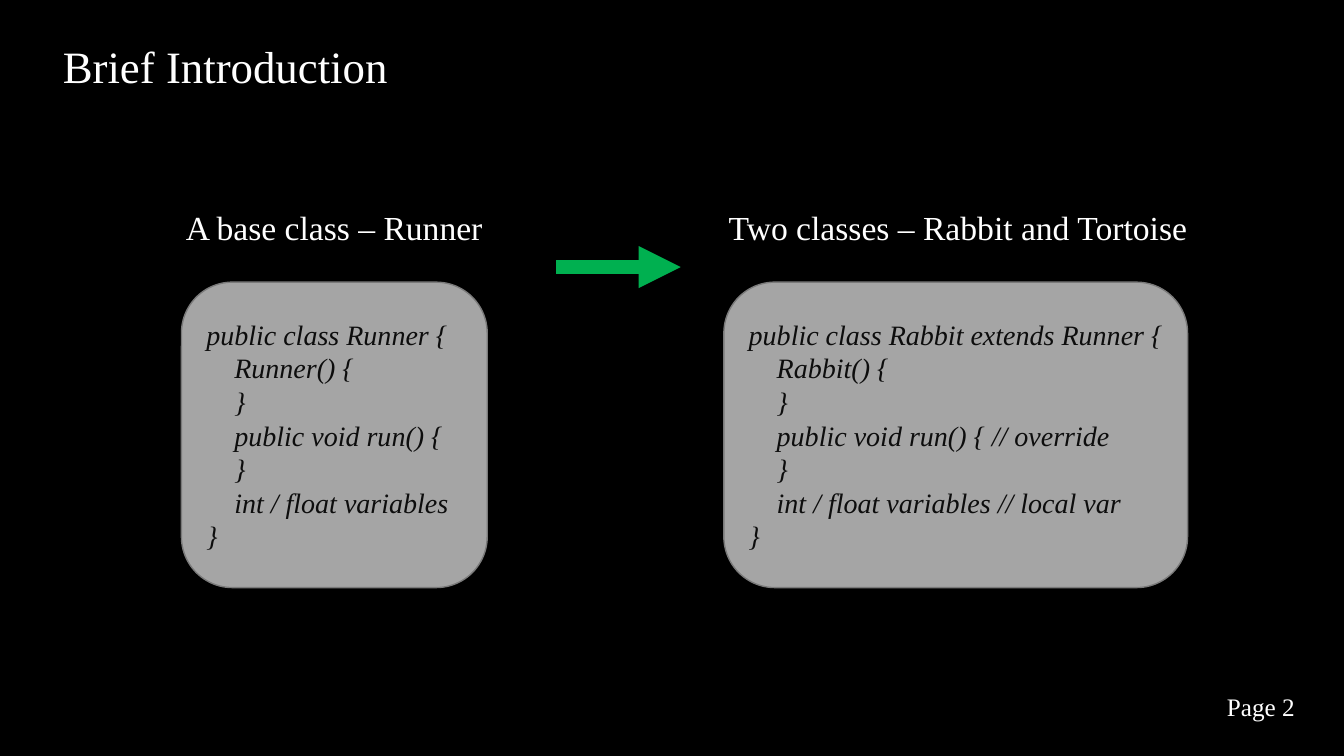
from dataclasses import dataclass

from lxml import etree
from pptx import Presentation
from pptx import util as u
from pptx.dml.color import RGBColor
from pptx.enum import shapes, text
from pptx.oxml.ns import qn


@dataclass(frozen=True)
class Theme:
    font: str = "Times New Roman"
    background: str = "000000"
    light: str = "FFFFFF"
    code: str = "0D0D0D"
    panel: str = "A5A5A5"
    outline: str = "7A7A7A"
    arrow: str = "00B050"
    title_size: int = 32
    heading_size: int = 24
    code_size: int = 20
    page_size: int = 18
    code_indent: int = 20


class SlideBuilder:
    """Places elements on a grid of 100 columns by 100 rows."""

    def __init__(self, deck, theme):
        self.deck, self.theme = deck, theme
        self.slide = deck.slides.add_slide(deck.slide_layouts[5])
        self.paint(self.slide.background.fill, theme.background)

    def paint(self, fill, color):
        fill.solid()
        fill.fore_color.rgb = RGBColor.from_string(color)

    def col(self, columns):
        return int(self.deck.slide_width * columns / 100)

    def row(self, rows):
        return int(self.deck.slide_height * rows / 100)

    def area(self, left, top, width, height):
        return self.col(left), self.row(top), self.col(width), self.row(height)

    def add_words(self, paragraph, words, size, color, align, italic=False):
        paragraph.alignment = align
        run = paragraph.add_run()
        run.text = words
        font = run.font
        font.name, font.size, font.italic = self.theme.font, u.Pt(size), italic
        font.color.rgb = RGBColor.from_string(color)

    def title(self, words, *area):
        holder = self.slide.shapes.title
        holder.left, holder.top, holder.width, holder.height = self.area(*area)
        frame = holder.text_frame
        frame.auto_size = text.MSO_AUTO_SIZE.NONE
        frame.word_wrap = False
        self.add_words(frame.paragraphs[0], words, self.theme.title_size,
                       self.theme.light, text.PP_ALIGN.CENTER)

    def label(self, words, size, *area, align=text.PP_ALIGN.CENTER):
        frame = self.slide.shapes.add_textbox(*self.area(*area)).text_frame
        frame.word_wrap = True
        self.add_words(frame.paragraphs[0], words, size, self.theme.light, align)

    def code_panel(self, lines, *area):
        panel = self.slide.shapes.add_shape(
            shapes.MSO_SHAPE.ROUNDED_RECTANGLE, *self.area(*area))
        panel.shadow.inherit = False
        self.paint(panel.fill, self.theme.panel)
        self.paint(panel.line.fill, self.theme.outline)
        panel.line.width = u.Pt(1)
        frame = panel.text_frame
        frame.word_wrap = True
        frame.margin_right = u.Inches(0.05)
        frame.vertical_anchor = text.MSO_ANCHOR.MIDDLE
        for number, (level, words) in enumerate(lines):
            paragraph = frame.add_paragraph() if number else frame.paragraphs[0]
            self.add_words(paragraph, words, self.theme.code_size, self.theme.code,
                           text.PP_ALIGN.LEFT, italic=True)
            indent = u.Pt(level * self.theme.code_indent)
            paragraph._p.get_or_add_pPr().set("marL", str(int(indent)))

    def arrow(self, start, end, row):
        arrow = self.slide.shapes.add_connector(
            shapes.MSO_CONNECTOR.STRAIGHT,
            self.col(start), self.row(row), self.col(end), self.row(row))
        self.paint(arrow.line.fill, self.theme.arrow)
        arrow.line.width = u.Pt(10)
        etree.SubElement(arrow.line._get_or_add_ln(), qn("a:tailEnd"), type="triangle")
        etree.SubElement(arrow._element.spPr, qn("a:effectLst"))


def class_code(declaration, constructor, method, variables):
    return [(0, declaration), (1, constructor), (1, "}"),
            (1, method), (1, "}"), (1, variables), (0, "}")]


deck = Presentation()
deck.slide_width, deck.slide_height = u.Inches(13.33), u.Inches(7.5)
theme = Theme()
page = SlideBuilder(deck, theme)

# Title
page.title("Brief Introduction", 3.08, 4.4, 27.38, 8.53)

# Classes: heading, its left and width, panel left and width, code
classes = [
    ("A base class – Runner", 12.3, 25.13, 13.5, 22.75,
     class_code("public class Runner {", "Runner() {",
                "public void run() {", "int / float variables")),
    ("Two classes – Rabbit and Tortoise", 51.84, 38.86, 53.86, 34.5,
     class_code("public class Rabbit extends Runner {", "Rabbit() {",
                "public void run() { // override",
                "int / float variables // local var")),
]
for heading, heading_left, heading_width, panel_left, panel_width, code in classes:
    page.label(heading, theme.heading_size, heading_left, 26.67, heading_width, 6.67)
    page.code_panel(code, panel_left, 37.33, panel_width, 40.4)

# Arrow from base class to derived classes
page.arrow(41.4, 50.65, 35.33)

# Page number
page.label("Page 2", theme.page_size, 90.55, 90.8, 6.85, 5.33,
           align=text.PP_ALIGN.LEFT)

deck.save("out.pptx")
